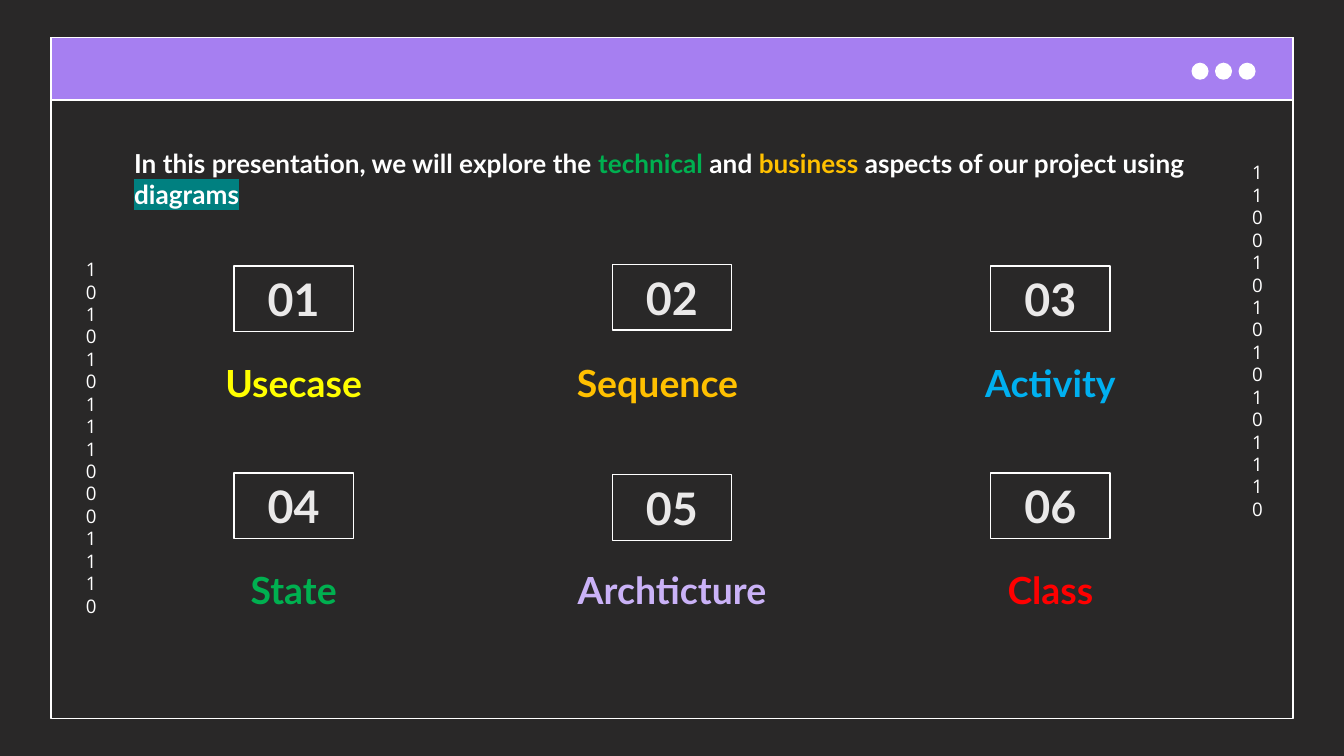
import pptx
import pptx.dml.color
import pptx.enum.shapes
import pptx.enum.text
import pptx.oxml.ns
import pptx.util
from lxml import etree

Pt = pptx.util.Pt
SHAPE = pptx.enum.shapes.MSO_SHAPE
ALIGN = pptx.enum.text.PP_ALIGN
ANCHOR = pptx.enum.text.MSO_ANCHOR

COLORS = {
    "background": "292828", "white": "FFFFFF", "bar": "A67FF1", "number": "EAE9E9",
    "yellow": "FFFF00", "amber": "FFC000", "blue": "00B0F0", "green": "00B050",
    "lilac": "CAB2F7", "red": "FF0000", "teal": "008080",
}
INSET = 7.2
COLUMN_STEP = 202.7
ROW_STEP = 110.9

# number, caption, caption colour, number box shift, caption left shift and width
TOPICS = [
    ("01", "Usecase", "yellow", 0, 0, 200.9),
    ("02", "Sequence", "amber", -0.9, -15.3, 216),
    ("03", "Activity", "blue", 0, 0, 200.9),
    ("04", "State", "green", 0, 0, 200.9),
    ("05", "Archticture", "lilac", 0.9, 0, 200.9),
    ("06", "Class", "red", 0, 0, 200.9),
]
INTRO = [
    ("In this presentation, we will explore the ", "white", None),
    ("technical", "green", None),
    (" and ", "white", None),
    ("business", "amber", None),
    (" aspects of our project using ", "white", None),
    ("diagrams", "white", "teal"),
]


def rgb(name):
    return pptx.dml.color.RGBColor.from_string(COLORS[name])


def add_outlined(slide, kind, left, top, width, height, fill=None):
    shape = slide.shapes.add_shape(kind, Pt(left), Pt(top), Pt(width), Pt(height))
    shape.shadow.inherit = False
    if fill:
        shape.fill.solid()
        shape.fill.fore_color.rgb = rgb(fill)
    else:
        shape.fill.background()
    shape.line.color.rgb = rgb("white")
    shape.line.width = Pt(0.75)
    return shape


def add_highlight(span, color):
    """Put a marker colour behind a run; the schema wants it right after the fill."""
    qn = pptx.oxml.ns.qn
    highlight = etree.Element(qn("a:highlight"))
    etree.SubElement(highlight, qn("a:srgbClr")).set("val", COLORS[color])
    span.font.fill.fore_color.rgb = span.font.color.rgb
    span.font._element.find(qn("a:solidFill")).addnext(highlight)


def write(shape, paragraphs, size, font="Lato", bold=True,
          align=ALIGN.CENTER, anchor=ANCHOR.TOP):
    """Fill a shape with paragraphs, each a list of (text, colour, highlight)."""
    frame = shape.text_frame
    frame.word_wrap = True
    frame.vertical_anchor = anchor
    frame.margin_left = frame.margin_right = Pt(INSET)
    frame.margin_top = frame.margin_bottom = Pt(INSET)
    for index, spans in enumerate(paragraphs):
        para = frame.add_paragraph() if index else frame.paragraphs[0]
        para.alignment = align
        for text, color, highlight in spans:
            span = para.add_run()
            span.text = text
            span.font.name = font
            span.font.size = Pt(size)
            span.font.bold = bold
            span.font.color.rgb = rgb(color)
            if highlight:
                add_highlight(span, highlight)


def add_text(slide, left, top, width, height, paragraphs, size, **style):
    box = slide.shapes.add_textbox(Pt(left), Pt(top), Pt(width), Pt(height))
    write(box, paragraphs, size, **style)


def add_window(slide):
    add_outlined(slide, SHAPE.RECTANGLE, 27.4, 20.2, 665.3, 364.8)
    add_outlined(slide, SHAPE.RECTANGLE, 27.4, 20.2, 665.3, 33.5, "bar")
    for index in range(3):
        add_outlined(slide, SHAPE.OVAL, 638.7 + index * 12.6, 34, 8.4, 8.4, "white")


def add_digit_column(slide, left, top, lines):
    """The box is so narrow that each digit wraps to its own line."""
    paragraphs = [[(line, "white", None)] for line in lines]
    add_text(slide, left, top, 17.3, 201.6, paragraphs, 10, font="Open Sans", bold=False)


def add_topic(slide, index, number, caption, color, box_shift, caption_shift, width):
    row, column = divmod(index, 3)
    x, y = column * COLUMN_STEP, row * ROW_STEP
    box = add_outlined(slide, SHAPE.RECTANGLE, 125.3 + x, 142.5 + y + box_shift, 64, 35.3)
    write(box, [[(number, "number", None)]], 24, anchor=ANCHOR.MIDDLE)
    add_text(slide, 56.9 + x + caption_shift, 185.8 + y, width, 40.3,
             [[(caption, color, None)]], 20)


def main():
    deck = pptx.Presentation()
    deck.slide_width, deck.slide_height = Pt(720), Pt(405)
    slide = deck.slides.add_slide(deck.slide_layouts[6])
    slide.background.fill.solid()
    slide.background.fill.fore_color.rgb = rgb("background")
    add_window(slide)
    add_digit_column(slide, 663.8, 79.2, ["1100101010101110"])
    add_digit_column(slide, 38.9, 131, ["101010111000111", "0"])
    for index, topic in enumerate(TOPICS):
        add_topic(slide, index, *topic)
    add_text(slide, 64.8, 75.6, 590.4, 40.3, [INTRO], 14,
             align=ALIGN.LEFT, anchor=ANCHOR.MIDDLE)
    deck.save("out.pptx")


if __name__ == "__main__":
    main()
